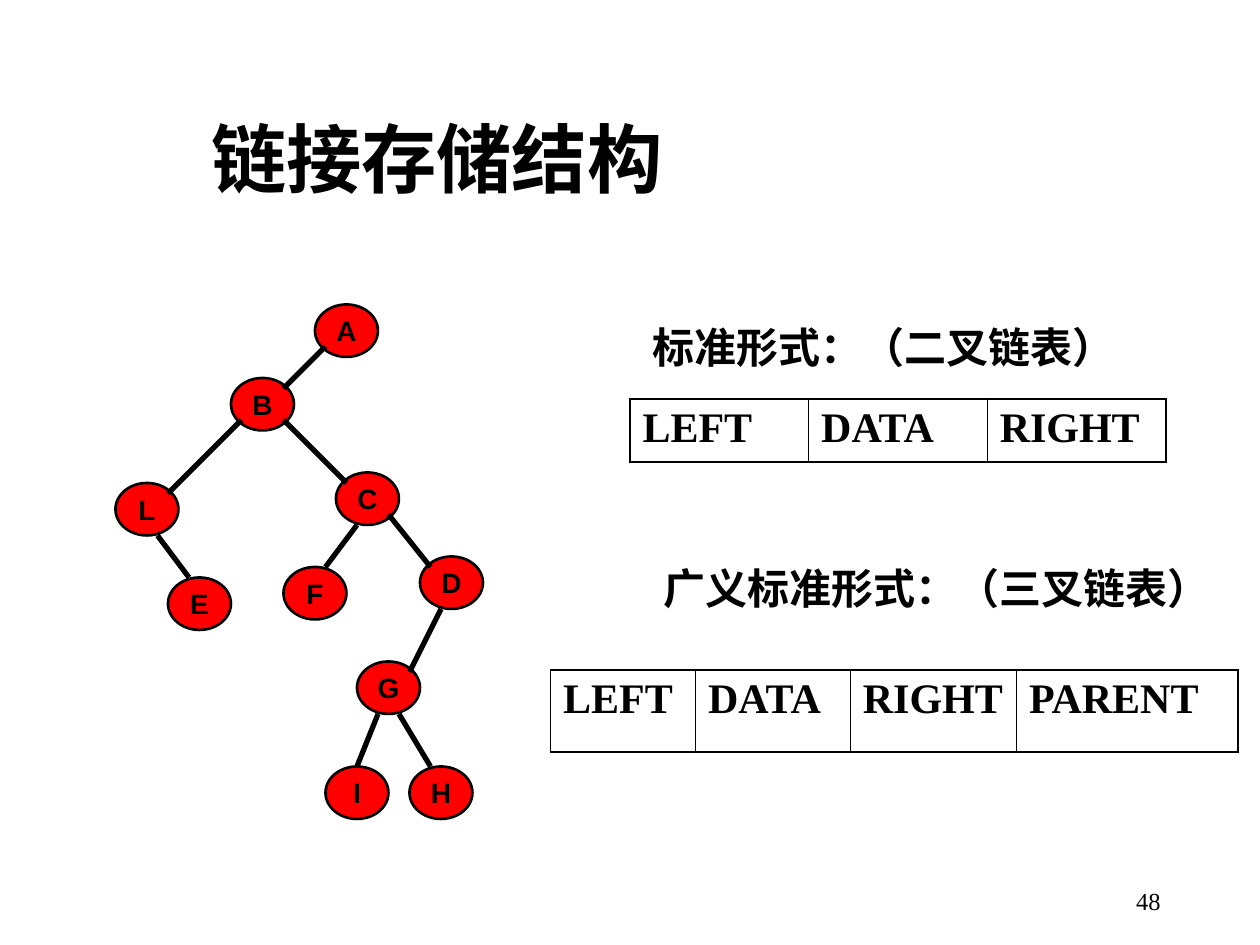
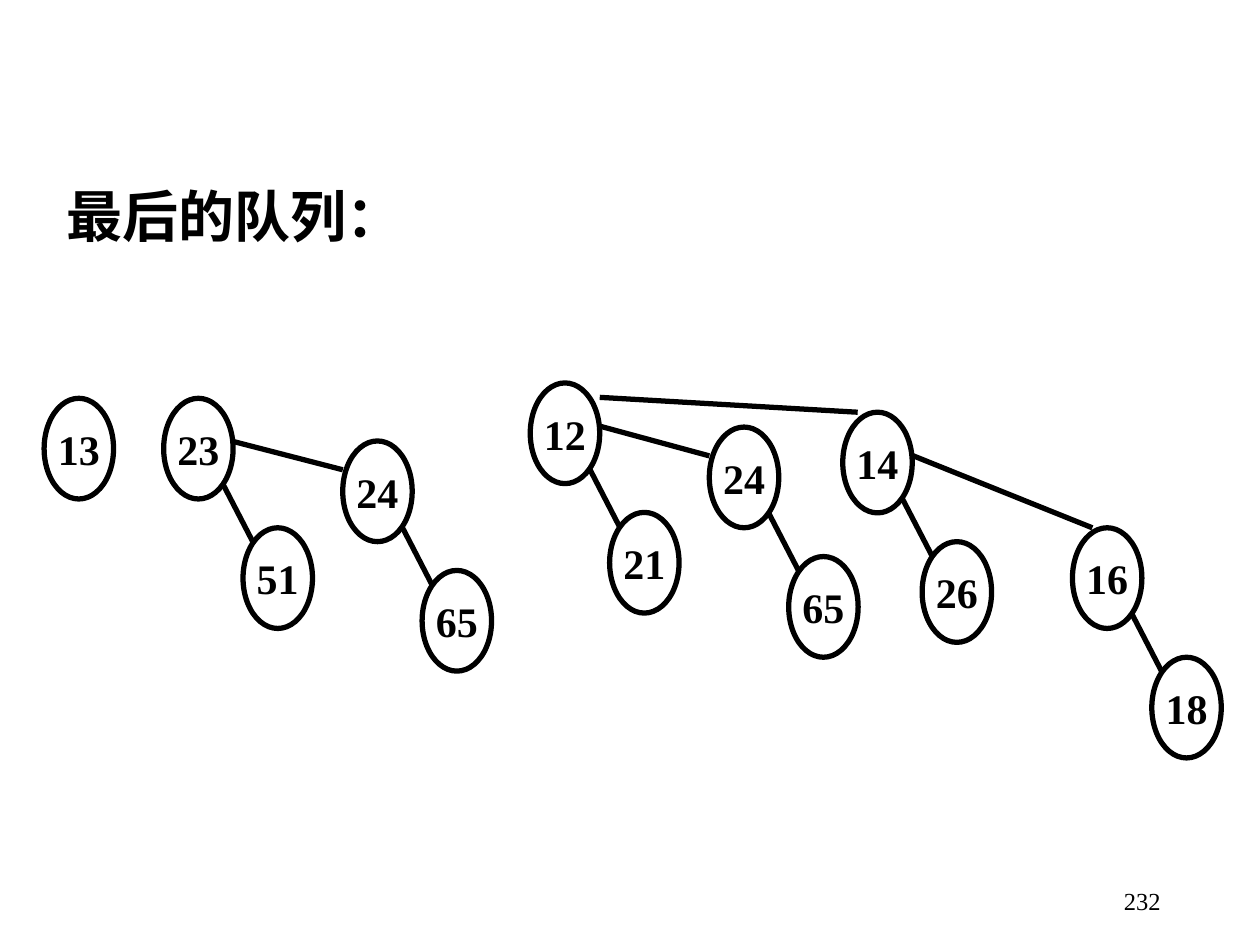
from dataclasses import dataclass

from lxml import etree
from pptx import Presentation
from pptx.dml import color as c
from pptx.enum import shapes, text
from pptx.oxml import ns
from pptx import util as u
from pptx.util import Cm


@dataclass(frozen=True)
class Theme:
    ink: c.RGBColor = c.RGBColor(0, 0, 0)
    red: c.RGBColor = c.RGBColor(255, 0, 0)
    title_font: str = "Noto Sans CJK SC"
    sans: str = "Arial"
    serif: str = "Times New Roman"
    title_size: int = 43
    heading_size: int = 32
    body_size: int = 24
    node_size: int = 16
    page_size: int = 14
    thin: float = 1.5
    thick: float = 3
    frame: float = 1.08
    divider: float = 0.45


THEME = Theme()

# Binary tree: node positions and anchors count steps of a square grid
TREE_STEP = (2.54 / 12, 2.54 / 12)
TREE_NODE = (6, 5)
TREE_NODES = {
    "A": (30, 29), "B": (22, 36), "C": (32, 45), "D": (40, 53), "E": (16, 55),
    "F": (27, 54), "G": (34, 63), "H": (39, 73), "I": (31, 73), "L": (11, 46),
}
# Parent, child, anchor on the parent, anchor on the child
TREE_EDGES = [
    ("A", "B", (1, 4), (5, 1)),
    ("B", "L", (1, 4), (5, 1)),
    ("B", "C", (5, 4), (1, 1)),
    ("C", "D", (5, 4), (1, 1)),
    ("C", "F", (2, 5), (4, 0)),
    ("L", "E", (4, 5), (2, 0)),
    ("D", "G", (2, 5), (5, 1)),
    ("G", "I", (2, 5), (3, 0)),
    ("G", "H", (4, 5), (2, 0)),
]

# Storage forms: label, label box, table corner, row height, (field, width)
STORAGE_FORMS = [
    ("标准形式：（二叉链表）", (12.9, 6.35, 10.36, 1.27), (12.7, 8.04), 1.27,
     [("LEFT", 3.6), ("DATA", 3.6), ("RIGHT", 3.6)]),
    ("广义标准形式：（三叉链表）", (13.12, 11.22, 11.64, 1.27), (11.1, 13.51), 1.65,
     [("LEFT", 2.92), ("DATA", 3.12), ("RIGHT", 3.35), ("PARENT", 4.47)]),
]

# Binomial queue: each root has a place in cm and at most one lower child
QUEUE_STEP = (0.2, 0.29)
QUEUE_NODE = (7, 7)
CHILD_OFFSET = (8, 9)
CHILD_ANCHORS = (6, 6), (1, 1)
QUEUE_PAIRS = [
    ("13", None, (0.89, 8.03)),
    ("23", "51", (3.3, 8.03)),
    ("24", "65", (6.91, 8.89)),
    ("12", "21", (10.69, 7.72)),
    ("24", "65", (14.3, 8.61)),
    ("14", "26", (16.99, 8.31)),
    ("16", "18", (21.62, 10.64)),
]
# Indexes of two pairs, anchor on the first root, anchor on the second
QUEUE_LINKS = [
    (1, 2, (7, 3), (0, 2)),
    (3, 4, (7, 3), (0, 2)),
    (5, 6, (7, 3), (2, 0)),
    (3, 5, (7, 1), (1.5, 0)),
]


def shift(place, steps, step):
    """Move a place in cm by a number of grid steps."""
    return tuple(p + n * s for p, n, s in zip(place, steps, step))


def write(frame, words, font, size, bold=True, align=None):
    paragraph = frame.paragraphs[0]
    paragraph.text = words
    paragraph.alignment = align
    paragraph.font.name = font
    paragraph.font.size = u.Pt(size)
    paragraph.font.bold = bold
    paragraph.font.color.rgb = THEME.ink
    return paragraph


def add_text(slide, box, words, font, size, anchor=text.MSO_ANCHOR.TOP, **style):
    frame = slide.shapes.add_textbox(*map(Cm, box)).text_frame
    frame.word_wrap = True
    frame.vertical_anchor = anchor
    return write(frame, words, font, size, **style)


def add_page_number(slide, number):
    add_text(slide, (17.93, 17.65, 5.72, 1.02), str(number), THEME.serif,
             THEME.page_size, text.MSO_ANCHOR.MIDDLE, bold=False,
             align=text.PP_ALIGN.RIGHT)


def add_node(slide, place, size, words, font, points, line, fill=None):
    shape = slide.shapes.add_shape(shapes.MSO_SHAPE.OVAL, *map(Cm, place + size))
    shape.shadow.inherit = False
    if fill is None:
        shape.fill.background()
    else:
        shape.fill.solid()
        shape.fill.fore_color.rgb = fill
    shape.line.color.rgb = THEME.ink
    shape.line.width = u.Pt(line)
    shape.text_frame.word_wrap = False
    shape.text_frame.vertical_anchor = text.MSO_ANCHOR.MIDDLE
    write(shape.text_frame, words, font, points, align=text.PP_ALIGN.CENTER)


def add_edge(slide, start, end):
    connector = slide.shapes.add_connector(
        shapes.MSO_CONNECTOR.STRAIGHT, *map(Cm, start + end))
    connector.line.color.rgb = THEME.ink
    connector.line.width = u.Pt(THEME.thick)
    etree.SubElement(connector._element.spPr, ns.qn("a:effectLst"))


def set_borders(cell, widths):
    """Draw the left, right, top and bottom borders, widths in points."""
    properties = cell._tc.get_or_add_tcPr()
    for index, (side, width) in enumerate(zip("LRTB", widths)):
        line = etree.Element(ns.qn(f"a:ln{side}"), w=str(u.Pt(width)))
        fill = etree.SubElement(line, ns.qn("a:solidFill"))
        etree.SubElement(fill, ns.qn("a:srgbClr"), val=str(THEME.ink))
        properties.insert(index, line)


def add_record(slide, corner, height, fields):
    width = sum(field_width for _, field_width in fields)
    table = slide.shapes.add_table(
        1, len(fields), *map(Cm, corner + (width, height))).table
    table.first_row = table.horz_banding = False
    last = len(fields) - 1
    for index, (name, field_width) in enumerate(fields):
        table.columns[index].width = Cm(field_width)
        cell = table.cell(0, index)
        cell.fill.background()
        write(cell.text_frame, name, THEME.serif, THEME.body_size)
        left = THEME.frame if index == 0 else THEME.divider
        right = THEME.frame if index == last else THEME.divider
        set_borders(cell, (left, right, THEME.frame, THEME.frame))


def build_linked_storage(slide):
    title = add_text(slide, (4.01, 2.34, 19.18, 1.88), "链接存储结构",
                     THEME.title_font, THEME.title_size, text.MSO_ANCHOR.MIDDLE)
    title.line_spacing = 0.9
    add_page_number(slide, 48)

    # Binary tree
    places = {name: shift((0, 0), steps, TREE_STEP)
              for name, steps in TREE_NODES.items()}
    size = shift((0, 0), TREE_NODE, TREE_STEP)
    for name, place in places.items():
        add_node(slide, place, size, name, THEME.sans, THEME.node_size,
                 THEME.thin, THEME.red)
    for parent, child, leave, enter in TREE_EDGES:
        add_edge(slide, shift(places[parent], leave, TREE_STEP),
                 shift(places[child], enter, TREE_STEP))

    # Record layouts
    for label, box, corner, height, fields in STORAGE_FORMS:
        add_text(slide, box, label, THEME.sans, THEME.body_size)
        add_record(slide, corner, height, fields)


def build_final_queue(slide):
    add_page_number(slide, 232)
    add_text(slide, (1.09, 3.53, 11, 1.63), "最后的队列：",
             THEME.serif, THEME.heading_size)

    # Roots with their lower children
    size = shift((0, 0), QUEUE_NODE, QUEUE_STEP)
    node_style = (THEME.serif, THEME.body_size, THEME.thick)
    leave, enter = CHILD_ANCHORS
    for root, child, place in QUEUE_PAIRS:
        add_node(slide, place, size, root, *node_style)
        if child:
            child_place = shift(place, CHILD_OFFSET, QUEUE_STEP)
            add_node(slide, child_place, size, child, *node_style)
            add_edge(slide, shift(place, leave, QUEUE_STEP),
                     shift(child_place, enter, QUEUE_STEP))

    # Links between roots
    for first, second, leave, enter in QUEUE_LINKS:
        add_edge(slide, shift(QUEUE_PAIRS[first][2], leave, QUEUE_STEP),
                 shift(QUEUE_PAIRS[second][2], enter, QUEUE_STEP))


def main():
    presentation = Presentation()
    presentation.slide_width = Cm(25.4)
    presentation.slide_height = Cm(19.05)
    blank = presentation.slide_layouts[6]
    for build in (build_linked_storage, build_final_queue):
        build(presentation.slides.add_slide(blank))
    presentation.save("out.pptx")


if __name__ == "__main__":
    main()
